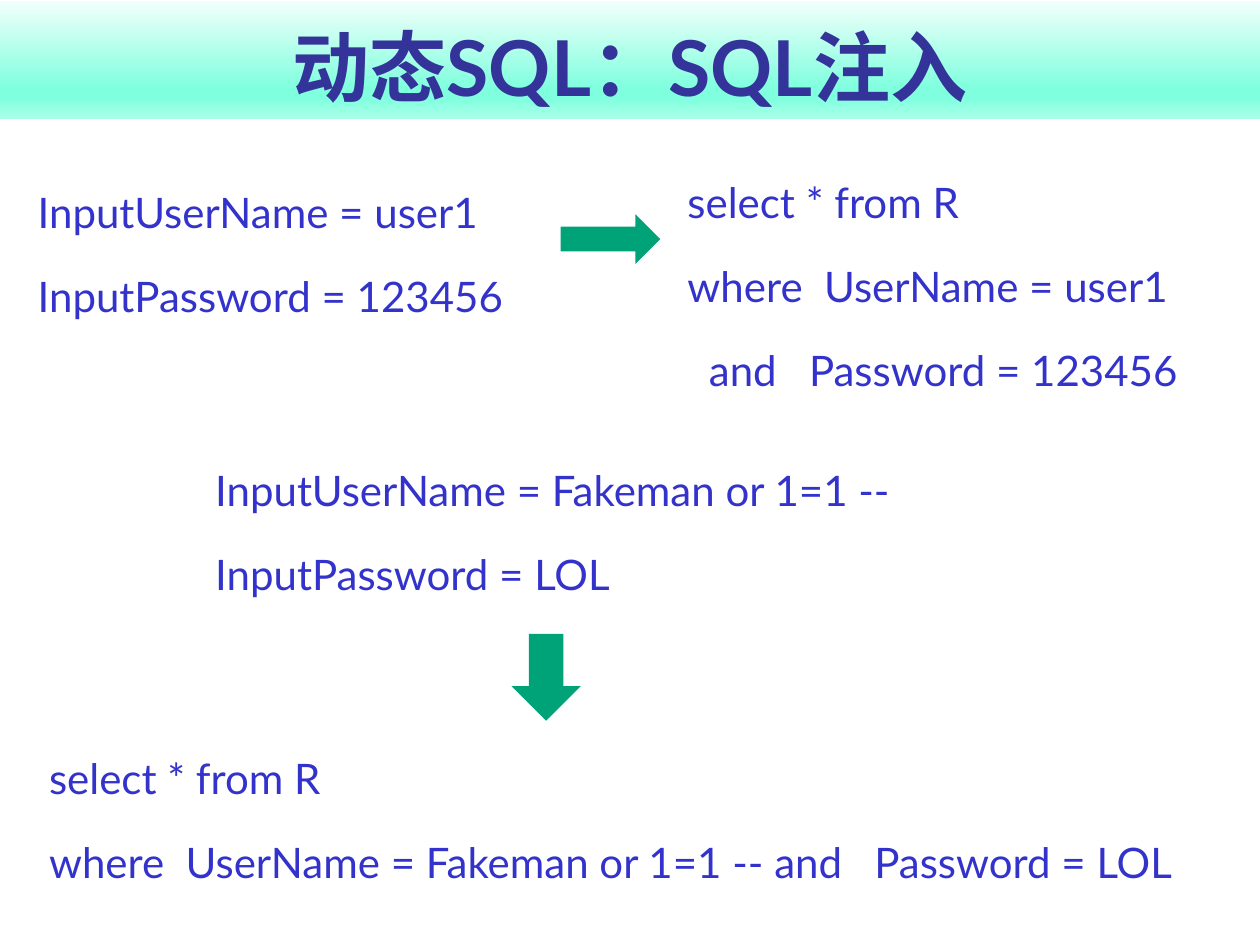
"""Build the slide on dynamic SQL and SQL injection."""
import copy
from dataclasses import dataclass

import pptx
import pptx.dml.color
import pptx.enum.shapes
import pptx.enum.text
import pptx.oxml.ns
import pptx.util

Cm = pptx.util.Cm
Pt = pptx.util.Pt
Rgb = pptx.dml.color.RGBColor.from_string
Kind = pptx.enum.shapes.MSO_SHAPE
Align = pptx.enum.text.PP_ALIGN
Anchor = pptx.enum.text.MSO_ANCHOR


@dataclass
class Theme:
    face: str = "Lato"
    title: str = "333399"
    code: str = "3333CC"
    arrow: str = "00A278"
    band: tuple = ((0, "F1FFFB"), (0.74, "80FFDE"), (0.83, "80FFDE"), (1, "AAFFE9"))
    big: int = 44
    small: int = 24


def style(font, size, color, bold=False):
    font.name = theme.face
    font.size = Pt(size)
    font.bold = bold
    font.color.rgb = Rgb(color)


theme = Theme()
deck = pptx.Presentation()
deck.slide_width, deck.slide_height = Cm(25.4), Cm(19.05)
slide = deck.slides.add_slide(deck.slide_layouts[6])
shapes = slide.shapes

band = shapes.add_shape(Kind.RECTANGLE, Cm(0), Cm(0.03), Cm(25.4), Cm(2.36))
band.shadow.inherit = False
band.line.fill.background()
band.fill.gradient()
band.fill.gradient_angle = 270
stops = band._element.spPr.find(".//" + pptx.oxml.ns.qn("a:gsLst"))
for _ in range(len(theme.band) - len(stops)):
    stops.append(copy.deepcopy(stops[0]))
for stop, (place, color) in zip(band.fill.gradient_stops, theme.band):
    stop.position = place
    stop.color.rgb = Rgb(color)
frame = band.text_frame
frame.text = "动态SQL：SQL注入"
frame.vertical_anchor = Anchor.BOTTOM
title = frame.paragraphs[0]
title.alignment = Align.CENTER
style(title.runs[0].font, theme.big, theme.title, True)

blocks = [
    (0.51, 3.12, 11.66, 3.81, ["InputUserName = user1", "InputPassword = 123456"]),
    (4.09, 8.74, 15.19, 3.18, ["InputUserName = Fakeman or 1=1 --", "InputPassword = LOL"]),
    (13.61, 2.92, 11.3, 5.21,
     ["select * from R", "where  UserName = user1", "  and   Password = 123456"]),
    (0.74, 14.53, 24.21, 3.12,
     ["select * from R", "where  UserName = Fakeman or 1=1 -- and   Password = LOL"]),
]
for left, top, width, height, lines in blocks:
    box = shapes.add_textbox(Cm(left), Cm(top), Cm(width), Cm(height))
    frame = box.text_frame
    frame.word_wrap = True
    frame.text = "\n".join(lines)
    for index, line in enumerate(frame.paragraphs):
        line.alignment = Align.JUSTIFY
        line.line_spacing = 1.5
        line.space_before = Pt(4.8 if index else 0)
        props = line._p.get_or_add_pPr()
        props.set("marL", str(Cm(0.95)))
        props.set("indent", str(-Cm(0.95)))
        style(line.runs[0].font, theme.small, theme.code)

arrows = [
    (Kind.RIGHT_ARROW, 11.3, 4.32, 2.01, 1),
    (Kind.DOWN_ARROW, 10.31, 12.78, 1.4, 1.75),
]
for kind, left, top, width, height in arrows:
    arrow = shapes.add_shape(kind, Cm(left), Cm(top), Cm(width), Cm(height))
    arrow.shadow.inherit = False
    arrow.fill.solid()
    arrow.fill.fore_color.rgb = Rgb(theme.arrow)
    arrow.line.fill.background()

deck.save("out.pptx")
